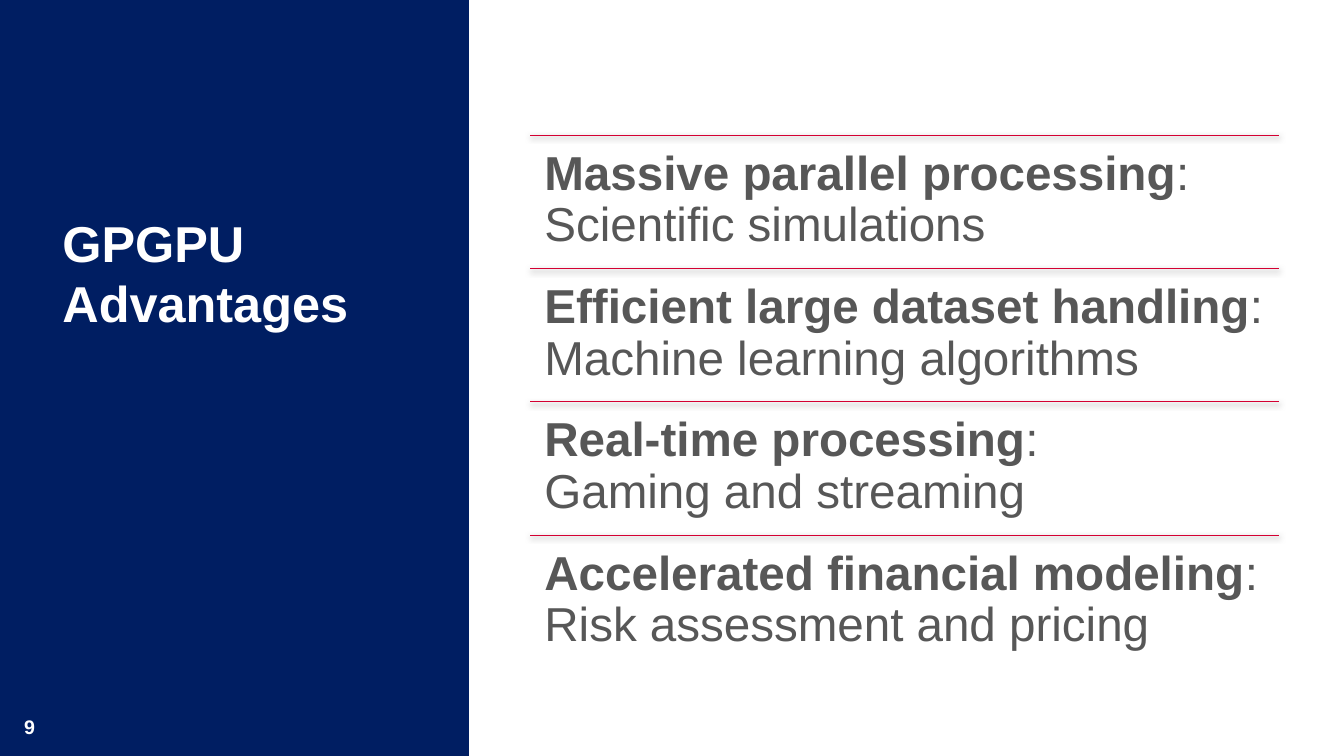
from dataclasses import dataclass

from lxml import etree
from pptx import Presentation
from pptx.dml.color import RGBColor
from pptx.enum.shapes import MSO_CONNECTOR as Connector, MSO_SHAPE as Shape
from pptx.enum.text import MSO_ANCHOR as Anchor
from pptx.oxml import parse_xml
from pptx.oxml.ns import nsdecls
from pptx.util import Inches, Pt


@dataclass(frozen=True)
class Theme:
    font: str = "Arial"
    navy: RGBColor = RGBColor(0x00, 0x1E, 0x62)
    white: RGBColor = RGBColor(0xFF, 0xFF, 0xFF)
    grey: RGBColor = RGBColor(0x57, 0x57, 0x57)
    red: RGBColor = RGBColor(0xD4, 0x00, 0x32)
    shadow: str = "000000"
    title_size: Pt = Pt(36)
    item_size: Pt = Pt(34)
    number_size: Pt = Pt(14)
    rule_width: Pt = Pt(0.5)


THEME = Theme()
ADVANTAGES = [
    ("Massive parallel processing", ": Scientific simulations"),
    ("Efficient large dataset handling", ": Machine learning algorithms"),
    ("Real-time processing", ": \vGaming and streaming"),
    ("Accelerated financial modeling", ": Risk assessment and pricing"),
]


def apply_format(target, values):
    for name, value in values.items():
        setattr(target, name, value)


def add_text(slide, box, runs, size, color, margins, line_spacing=None):
    shape = slide.shapes.add_textbox(*map(Inches, box))
    frame = shape.text_frame
    left, top = map(Inches, margins)
    apply_format(frame, {
        "word_wrap": True,
        "vertical_anchor": Anchor.TOP,
        "margin_left": left,
        "margin_right": left,
        "margin_top": top,
        "margin_bottom": top,
    })
    paragraph = frame.paragraphs[0]
    paragraph.line_spacing = line_spacing
    for text, bold in runs:
        head, *rest = text.split("\v")
        for index, part in enumerate([head, *rest]):
            if index:
                paragraph.add_line_break()
            run = paragraph.add_run()
            run.text = part
            apply_format(run.font, {"name": THEME.font, "size": size, "bold": bold})
            run.font.color.rgb = color


def add_rule(slide, left, top, width):
    rule = slide.shapes.add_connector(
        Connector.STRAIGHT,
        Inches(left), Inches(top), Inches(left + width), Inches(top),
    )
    rule.line.width = THEME.rule_width
    rule.line.color.rgb = THEME.red
    effects = parse_xml(f"<a:effectLst {nsdecls('a')}/>")
    namespace = effects.nsmap["a"]
    shadow = etree.SubElement(
        effects, f"{{{namespace}}}outerShdw",
        blurRad=str(Pt(4.5)), dist=str(Pt(1.5)), dir="5400000", rotWithShape="0",
    )
    color = etree.SubElement(shadow, f"{{{namespace}}}srgbClr", val=THEME.shadow)
    etree.SubElement(color, f"{{{namespace}}}alpha", val="63000")
    rule._element.spPr.append(effects)


def add_title_panel(slide, box, title, number):
    left, top, width, height = box
    panel = slide.shapes.add_shape(Shape.RECTANGLE, *map(Inches, box))
    panel.shadow.inherit = False
    panel.fill.solid()
    panel.fill.fore_color.rgb = THEME.navy
    panel.line.fill.background()
    add_text(slide, (left + 0.62, top + 2.1, width - 1.12, 1.65), [(title, True)],
             THEME.title_size, THEME.white, (0, 0))
    add_text(slide, (left + 0.14, top + height - 0.46, 0.66, 0.34), [(number, True)],
             THEME.number_size, THEME.white, (0.1, 0.05))


def add_advantages(slide, box, advantages):
    left, top, width, height = box
    row_height = height / len(advantages)
    for index, (name, example) in enumerate(advantages):
        row_top = top + index * row_height
        add_rule(slide, left, row_top, width)
        add_text(slide, (left, row_top, width, row_height),
                 [(name, True), (example, False)],
                 THEME.item_size, THEME.grey, (0.14, 0.14), line_spacing=0.9)


def main():
    presentation = Presentation()
    apply_format(presentation, {"slide_width": Inches(13.33), "slide_height": Inches(7.5)})
    slide = presentation.slides.add_slide(presentation.slide_layouts[6])
    add_title_panel(slide, (0, 0, 4.65, 7.5), "GPGPU Advantages", "9")
    add_advantages(slide, (5.26, 1.34, 7.43, 5.29), ADVANTAGES)
    presentation.save("out.pptx")


if __name__ == "__main__":
    main()
